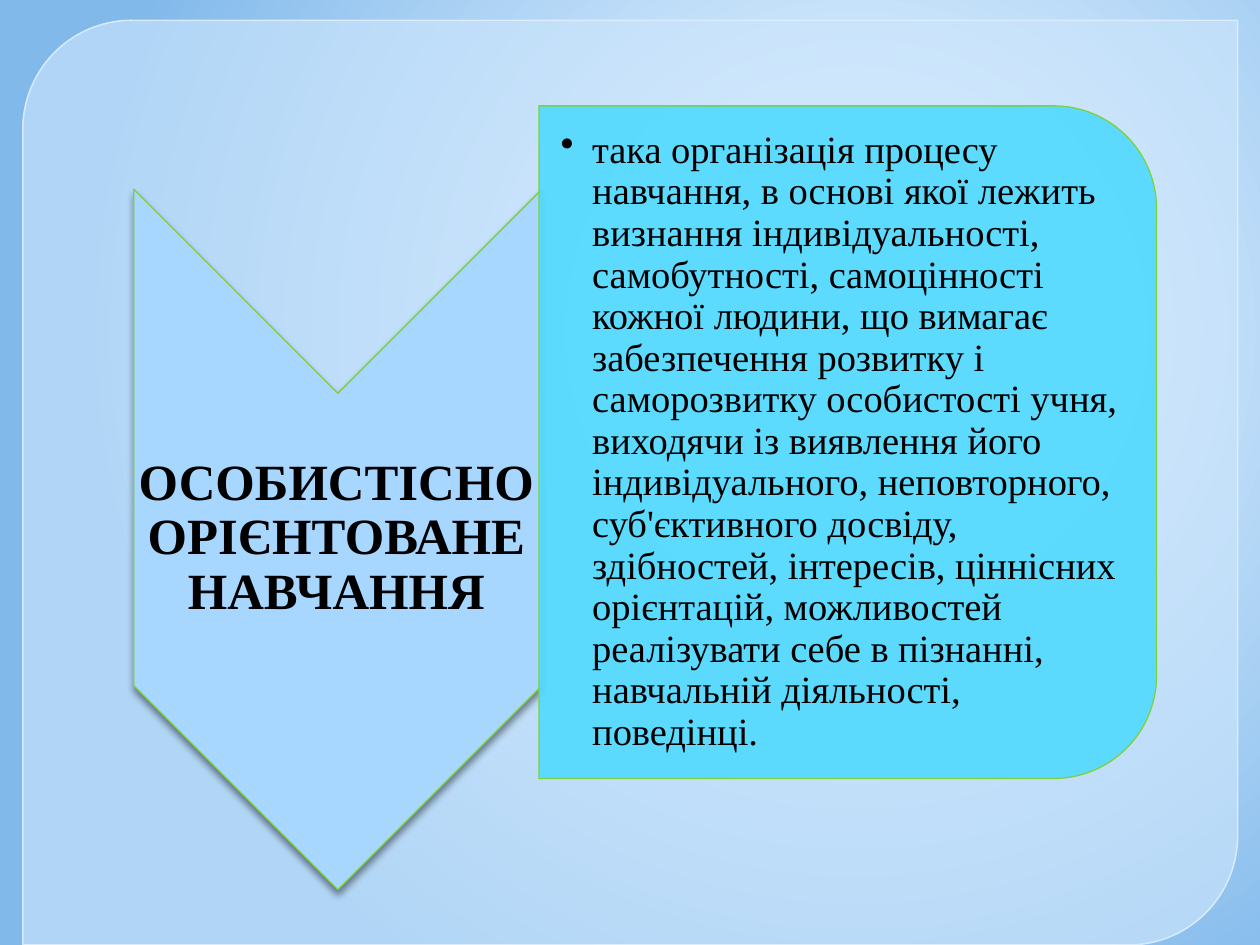
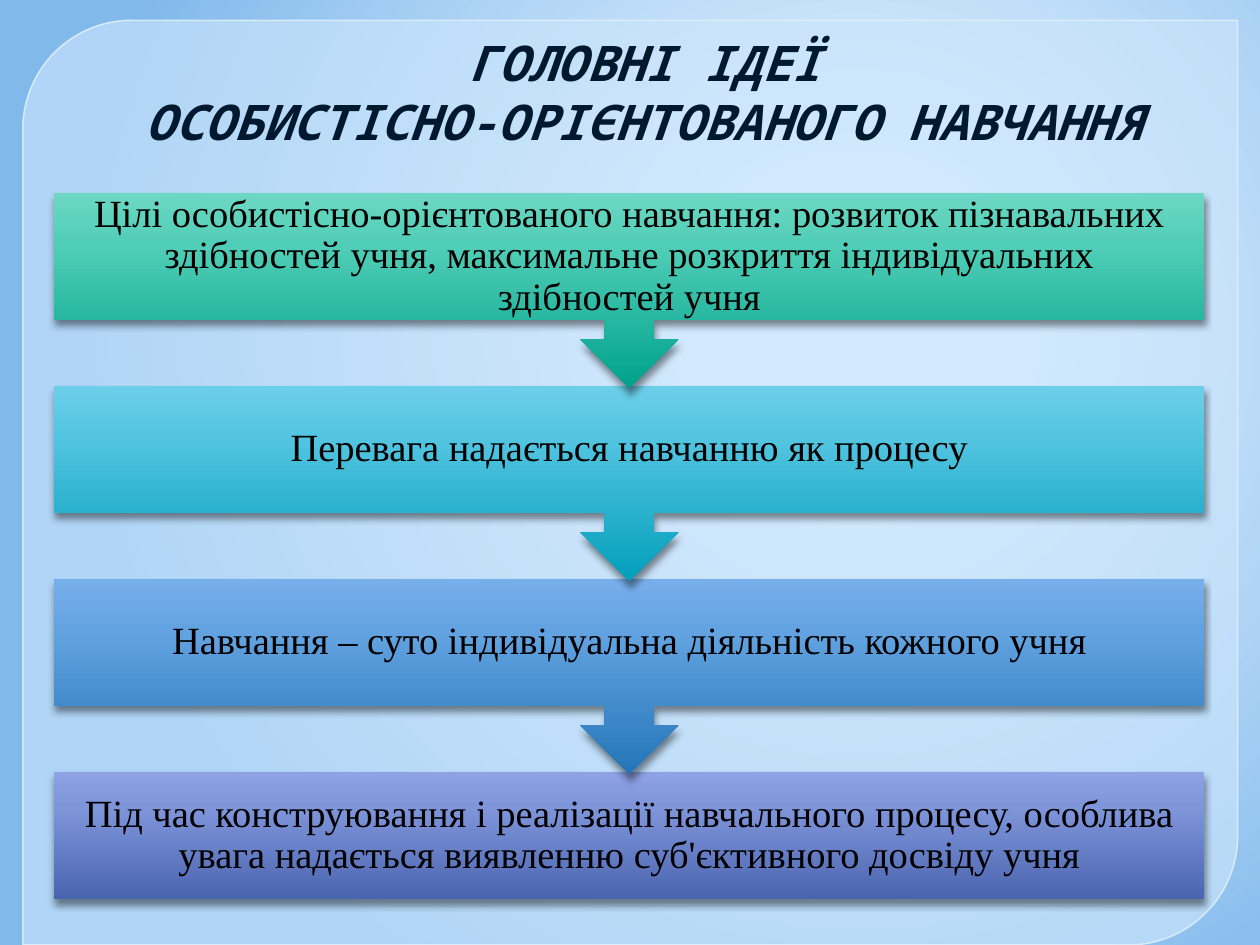
"""Build two slides on learner-centred teaching."""
from pptx import Presentation
from pptx.dml.color import RGBColor
from pptx.enum.shapes import MSO_SHAPE
from pptx.enum.text import MSO_ANCHOR, MSO_AUTO_SIZE, PP_ALIGN
from pptx.oxml import parse_xml
from pptx.oxml.ns import nsdecls, qn
from pptx.util import Cm, Pt

TERM = "ОСОБИСТІСНО ОРІЄНТОВАНЕ НАВЧАННЯ"
MEANING = (
    "така організація процесу навчання, в основі якої лежить визнання "
    "індивідуальності, самобутності, самоцінності кожної людини, що вимагає "
    "забезпечення розвитку і саморозвитку особистості учня, виходячи із "
    "виявлення його індивідуального, неповторного, суб'єктивного досвіду, "
    "здібностей, інтересів, ціннісних орієнтацій, можливостей реалізувати "
    "себе в пізнанні, навчальній діяльності, поведінці."
)
TITLE = "ГОЛОВНІ ІДЕЇ\vОСОБИСТІСНО-ОРІЄНТОВАНОГО НАВЧАННЯ"
IDEAS = [
    ("Цілі особистісно-орієнтованого навчання: розвиток пізнавальних "
     "здібностей учня, максимальне розкриття індивідуальних здібностей учня",
     ("00A28D", "4FCDB6", "6DD8C3")),
    ("Перевага надається навчанню як процесу",
     ("039FBB", "51C4E0", "6CCFEA")),
    ("Навчання – суто індивідуальна діяльність кожного учня",
     ("2476B8", "62A2E0", "77AFEA")),
    ("Під час конструювання і реалізації навчального процесу, особлива "
     "увага надається виявленню суб'єктивного досвіду учня",
     ("4A65AF", "7E95DA", "8EA2E4")),
]

COLORS = {
    "text": "000000", "title": "00192F", "panel": "CBE5FC", "rim": "E0F0FF",
    "arrow": "A7D6FF", "card": "51DAFF", "edge": "7FD13B", "shade": "000000",
}
BACK = ("E1F1FF", "DFF0FF", "81B9EB")
SERIF, MONO = "Times New Roman", "Noto Sans Mono"
LEFT, TOP, WIDTH, STEP = 1.09, 3.89, 23.19, 3.89
BOX_H, CALL_H = 2.57, 3.94


def color(name):
    return RGBColor.from_string(COLORS[name])


def blend(hues, middle, shape):
    """Return a three-stop gradient fill with the given direction XML."""
    stops = "".join(
        f'<a:gs pos="{pos * 1000}"><a:srgbClr val="{hue}"/></a:gs>'
        for pos, hue in zip((0, middle, 100), hues))
    return parse_xml(f'<a:gradFill {nsdecls("a")} rotWithShape="1">'
                     f"<a:gsLst>{stops}</a:gsLst>{shape}</a:gradFill>")


def fade(node, share):
    """Give the first solid colour under a node an opacity in percent."""
    hue = node.find(qn("a:solidFill")).find(qn("a:srgbClr"))
    hue.append(parse_xml(f'<a:alpha {nsdecls("a")} val="{share * 1000}"/>'))


def add_form(slide, kind, place, fill=None, edge=None, turn=0):
    """Add a flat preset shape; place is left, top, width, height in cm."""
    form = slide.shapes.add_shape(kind, *map(Cm, place))
    form.shadow.inherit = False
    form.rotation = turn
    if fill:
        form.fill.solid()
        form.fill.fore_color.rgb = color(fill)
    else:
        form.fill.background()
    if edge:
        form.line.color.rgb = color(edge)
        form.line.width = Pt(0.75)
    else:
        form.line.fill.background()
    return form


def add_shade(form):
    """Cast a soft shadow below a shape."""
    form.element.spPr.find(qn("a:effectLst")).append(parse_xml(
        f'<a:outerShdw {nsdecls("a")} blurRad="{Pt(4)}" dist="{Pt(3)}" '
        'dir="5400000" algn="ctr" rotWithShape="0">'
        f'<a:srgbClr val="{COLORS["shade"]}"><a:alpha val="43000"/>'
        "</a:srgbClr></a:outerShdw>"))


def write(form, text, size, side=0.05, bullet=False, bold=False):
    """Fill a shape or text box with one middle-anchored paragraph."""
    frame = form.text_frame
    frame.word_wrap = True
    frame.vertical_anchor = MSO_ANCHOR.MIDDLE
    frame.margin_left = Cm(side)
    frame.margin_right = Cm(0.05 if bullet else side)
    frame.margin_top = frame.margin_bottom = Cm(0.05)
    frame.text = text
    para = frame.paragraphs[0]
    para.alignment = PP_ALIGN.LEFT if bullet else PP_ALIGN.CENTER
    para.line_spacing = 0.9
    if bullet:
        props = para._p.get_or_add_pPr()
        props.set("marL", str(Cm(0.64)))
        props.set("indent", str(-Cm(0.64)))
        props.append(parse_xml(f'<a:buChar {nsdecls("a")} char="•"/>'))
    style(para, size, SERIF, "text", bold)


def style(para, size, face, hue, bold=False, slant=False):
    for run in para.runs:
        font = run.font
        font.size, font.name = Pt(size), face
        font.bold, font.italic = bold, slant
        font.color.rgb = color(hue)


def set_base(deck, slide):
    """Put the shared background and panel on the slide master."""
    master = deck.slide_master
    master.background.fill.solid()
    props = master.element.find(".//" + qn("p:bgPr"))
    props.replace(props[0], blend(
        BACK, 20, '<a:path path="circle"><a:fillToRect l="68000" t="35000" '
        'r="32000" b="65000"/></a:path>'))
    panel = add_form(slide, MSO_SHAPE.ROUND_2_DIAG_RECTANGLE,
                     (0.46, 0.41, 24.49, 18.64), "panel", "rim")
    panel.adjustments[0], panel.adjustments[1] = 0.118, 0
    panel.line.width = Pt(0.87)
    fade(panel.element.spPr, 65)
    fade(panel.element.spPr.find(qn("a:ln")), 88)
    master.shapes.element.insert(2, panel.element)


def show_term(slide):
    arrow = add_form(slide, MSO_SHAPE.CHEVRON, (-0.25, 6.76, 14.12, 8.23),
                     "arrow", "edge", 90)
    add_shade(arrow)
    label = slide.shapes.add_textbox(*map(Cm, (2.67, 7.92, 8.23, 5.87)))
    write(label, TERM, 29, bold=True)
    card = add_form(slide, MSO_SHAPE.ROUND_2_SAME_RECTANGLE,
                    (10.31, 2.69, 13.56, 12.45), "card", "edge", 90)
    fade(card.element.spPr, 90)
    body = slide.shapes.add_textbox(*map(Cm, (10.87, 2.74, 11.84, 12.34)))
    write(body, MEANING, 22, 0.43, bullet=True)


def show_ideas(slide):
    title = slide.shapes.title
    title.left, title.top, title.width, title.height = map(
        Cm, (1.9, 0.53, 22.2, 2.64))
    frame = title.text_frame
    frame.text = TITLE
    frame.word_wrap = True
    frame.auto_size = MSO_AUTO_SIZE.NONE
    frame.vertical_anchor = MSO_ANCHOR.TOP
    frame.paragraphs[0].alignment = PP_ALIGN.CENTER
    style(frame.paragraphs[0], 28, MONO, "title", True, True)
    last = len(IDEAS) - 1
    for rank, (text, hues) in reversed(list(enumerate(IDEAS))):
        kind, high = ((MSO_SHAPE.RECTANGLE, BOX_H) if rank == last
                      else (MSO_SHAPE.DOWN_ARROW_CALLOUT, CALL_H))
        step = add_form(slide, kind, (LEFT, TOP + rank * STEP, WIDTH, high))
        props = step.element.spPr
        props.replace(props.find(qn("a:noFill")), blend(
            hues, 72, '<a:lin ang="16200000" scaled="0"/>'))
        add_shade(step)
        write(step, text, 22, 0.43)


def main():
    deck = Presentation()
    deck.slide_width, deck.slide_height = Cm(25.4), Cm(19.05)
    first = deck.slides.add_slide(deck.slide_layouts[6])
    set_base(deck, first)
    show_term(first)
    show_ideas(deck.slides.add_slide(deck.slide_layouts[5]))
    deck.save("out.pptx")


if __name__ == "__main__":
    main()
